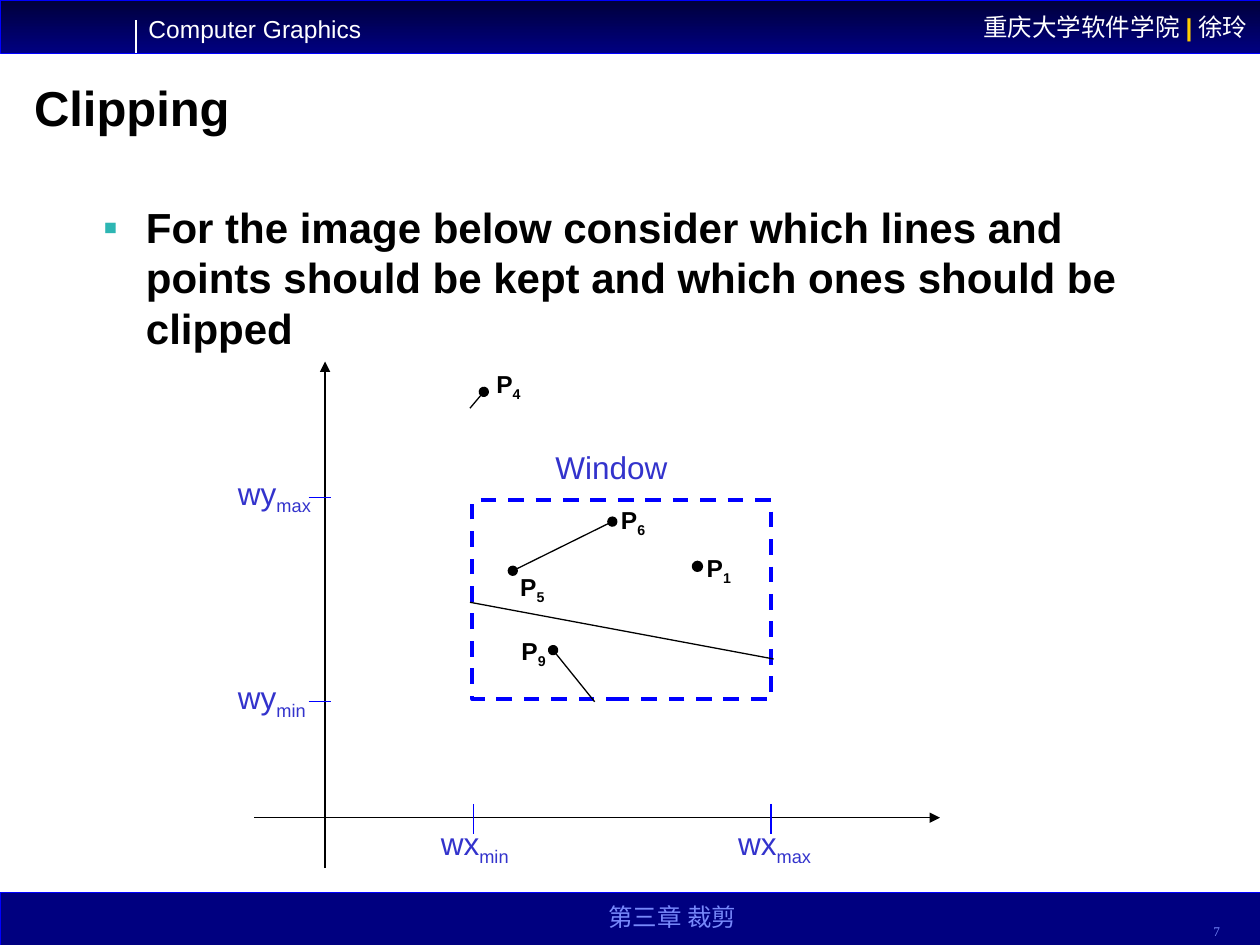
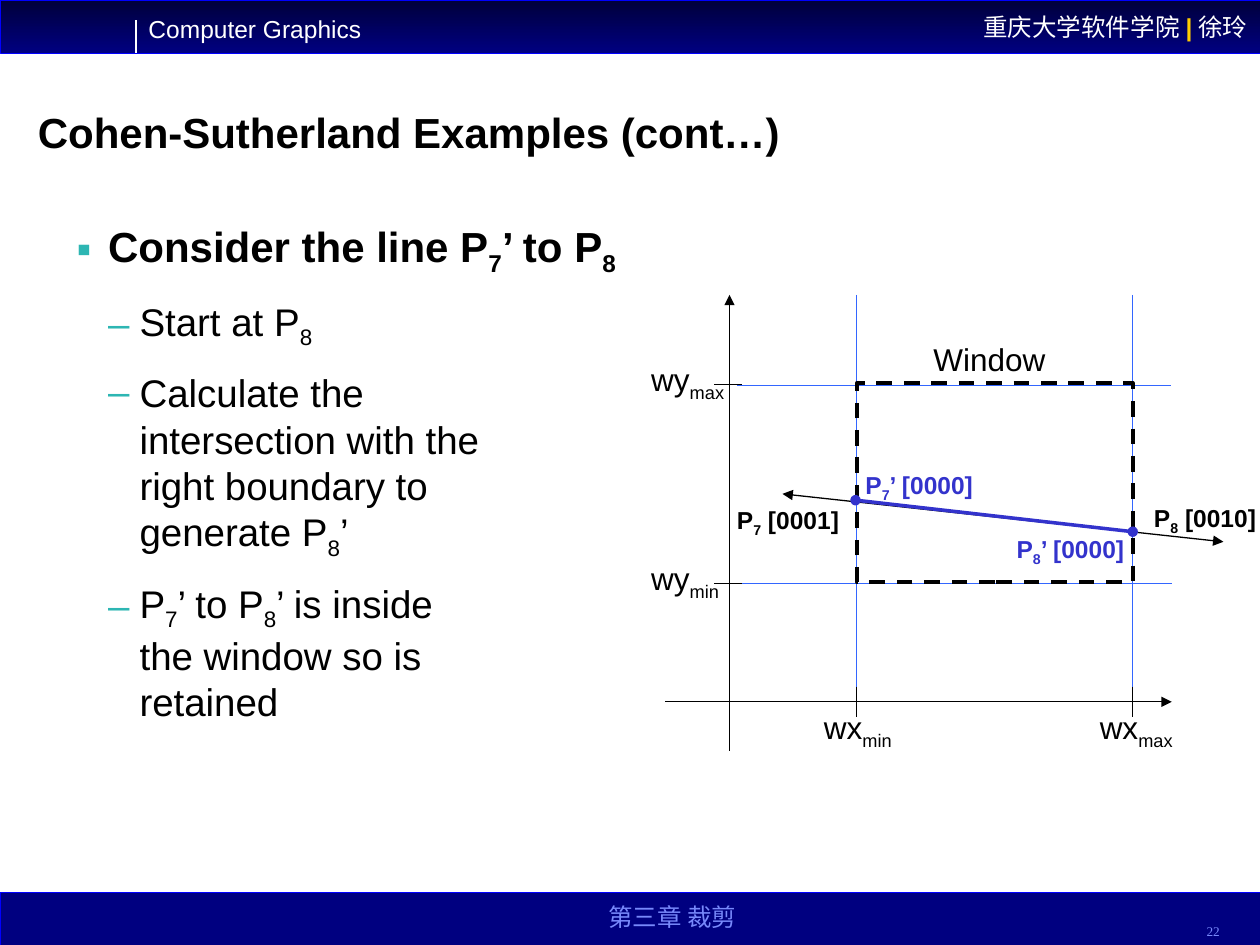
from dataclasses import dataclass

from lxml import etree
from pptx import Presentation
from pptx.dml.color import RGBColor
from pptx.enum.dml import MSO_LINE
from pptx.enum.shapes import MSO_CONNECTOR, MSO_SHAPE
from pptx.enum.text import MSO_ANCHOR as Anchor, PP_ALIGN as Align
from pptx.oxml.ns import qn
from pptx.util import Inches, Pt


@dataclass(frozen=True)
class Theme:
    black: str = "000000"
    white: str = "FFFFFF"
    navy: str = "000080"
    night: str = "00003B"
    blue: str = "0000FF"
    indigo: str = "3333CC"
    guide: str = "3366FF"
    footer: str = "7889FB"
    gold: str = "FFCC00"
    teal: str = "2DB6B3"
    sans: str = "Arial"
    serif: str = "Times New Roman"
    header_size: float = 14
    number_size: float = 7.6
    axis_size: float = 18
    point_size: float = 14
    thin: float = 0.75
    segment: float = 2
    dashed: float = 2.25


THEME = Theme()
WIDTH, HEIGHT, BAND = 10, 7.5, 0.42
AXIS_LABEL = (0.85, 0.44)
COURSE = "Computer Graphics"
SCHOOL = [("重庆大学软件学院", THEME.white), ("|", THEME.gold), ("徐玲", THEME.white)]
CHAPTER = "第三章 裁剪"

# In all texts "~" opens and closes a subscript and "\v" breaks a line.
BULLETS = [dict(mark="▪", size=24, bold=True, before=10.5, after=4.5),
           dict(mark="–", size=22, bold=False, before=6.9, after=4.1)]

# Lines: start, end, colour, width, head, tail.  Points: text, left, top, width, colour.
SLIDES = [
    dict(
        number=7,
        title=("Clipping", 28, (0.17, 0.6, 9.02, 0.54)),
        body_box=(0.59, 1.55, 8.9, 1.39),
        indents=[(0.47, -0.34)],
        body=[(0, "For the image below consider which lines and points should be kept "
                  "and which ones should be clipped")],
        diagram=dict(
            x_axis=(2.02, 7.46, 6.49), y_axis=(6.89, 2.87, 2.58),
            window=(3.75, 3.97, 2.37, 1.58), window_colour=THEME.blue,
            x_ticks=(3.76, 6.12), x_tick_span=(6.38, 6.62),
            y_ticks=(3.95, 5.57), y_tick_span=(2.45, 2.63),
            tick_colour=THEME.blue, label_colour=THEME.indigo,
            y_label_left=1.79, window_label=(4.31, 3.51),
            dots=[(5.49, 4.45, 0.09)],
            guides=[],
            lines=[
                ((4.07, 4.53), (4.86, 4.14), THEME.black, THEME.thin, "oval", "oval"),
                ((3.73, 3.24), (3.84, 3.11), THEME.black, THEME.thin, None, "oval"),
                ((4.39, 5.16), (4.72, 5.57), THEME.black, THEME.thin, "oval", None),
                ((3.73, 4.78), (6.14, 5.23), THEME.black, THEME.thin, None, None),
            ],
            points=[
                ("P~1~", 5.51, 4.34, 0.39, THEME.black),
                ("P~6~", 4.83, 3.96, 0.39, THEME.black),
                ("P~5~", 4.03, 4.49, 0.39, THEME.black),
                ("P~9~", 4.04, 5.0, 0.39, THEME.black),
                ("P~4~", 3.84, 2.88, 0.39, THEME.black),
            ],
        ),
    ),
    dict(
        number=22,
        title=("Cohen-Sutherland Examples (cont…)", 24, (0.2, 0.76, 9.02, 0.54)),
        body_box=(0.51, 1.7, 8.5, 4.27),
        indents=[(0.25, -0.25), (0.5, -0.25)],
        body=[
            (0, "Consider the line P~7~’ to P~8~"),
            (1, "Start at P~8~"),
            (1, "Calculate the\vintersection with the\vright boundary to\vgenerate P~8~’"),
            (1, "P~7~’ to P~8~’ is inside\vthe window so is\vretained"),
        ],
        diagram=dict(
            x_axis=(5.28, 9.3, 5.57), y_axis=(5.96, 2.34, 5.79),
            window=(6.8, 3.04, 2.19, 1.58), window_colour=THEME.black,
            x_ticks=(6.8, 8.99), x_tick_span=(5.45, 5.69),
            y_ticks=(3.05, 4.63), y_tick_span=(5.67, 5.89),
            tick_colour=THEME.black, label_colour=THEME.black,
            y_label_left=5.07, window_label=(7.31, 2.65),
            dots=[],
            guides=[
                ((6.8, 2.34), (6.8, 5.48)),
                ((8.99, 2.34), (8.99, 5.52)),
                ((9.29, 3.06), (5.85, 3.06)),
                ((9.3, 4.63), (5.89, 4.63)),
            ],
            lines=[
                ((6.21, 3.92), (9.71, 4.3), THEME.black, THEME.thin, "triangle", "triangle"),
                ((6.79, 3.97), (8.99, 4.22), THEME.indigo, THEME.segment, "oval", "oval"),
            ],
            points=[
                ("P~7~’ [0000]", 6.77, 3.68, 1.06, THEME.indigo),
                ("P~7~ [0001]", 5.75, 3.96, 1.01, THEME.black),
                ("P~8~ [0010]", 9.06, 3.94, 1.01, THEME.black),
                ("P~8~’ [0000]", 7.97, 4.19, 1.06, THEME.indigo),
            ],
        ),
    ),
]


def rgb(colour):
    return RGBColor.from_string(colour)


def inches(box):
    return [Inches(value) for value in box]


def style(font, size, colour, bold=False, name=THEME.sans):
    font.name, font.size, font.bold = name, Pt(size), bold
    font.color.rgb = rgb(colour)


def write(paragraph, text, size, colour, bold=False, name=THEME.sans):
    """Fill a paragraph, turning ~x~ into a subscript and \\v into a line break."""
    for index, piece in enumerate(text.split("~")):
        for row, words in enumerate(piece.split("\v")):
            if row:
                paragraph.add_line_break()
            if words:
                run = paragraph.add_run()
                run.text = words
                style(run.font, size, colour, bold, name)
                if index % 2:
                    run.font._element.set("baseline", "-25000")


def add_label(slide, text, box, size, colour, bold=False, name=THEME.sans,
              align=Align.LEFT, anchor=Anchor.TOP, wrap=False):
    frame = slide.shapes.add_textbox(*inches(box)).text_frame
    frame.word_wrap, frame.vertical_anchor = wrap, anchor
    frame.paragraphs[0].alignment = align
    write(frame.paragraphs[0], text, size, colour, bold, name)


def add_line(slide, start, end, colour, width=THEME.thin, head=None, tail=None):
    connector = slide.shapes.add_connector(MSO_CONNECTOR.STRAIGHT, *inches(start + end))
    connector.line.color.rgb = rgb(colour)
    connector.line.width = Pt(width)
    outline = connector.line._get_or_add_ln()
    for tag, kind in (("a:headEnd", head), ("a:tailEnd", tail)):
        if kind:
            etree.SubElement(outline, qn(tag), type=kind)
    etree.SubElement(connector._element.spPr, qn("a:effectLst"))


def add_preset(slide, preset, box, fill=None, line=None, width=0.25):
    shape = slide.shapes.add_shape(preset, *inches(box))
    shape.shadow.inherit = False
    if fill:
        shape.fill.solid()
        shape.fill.fore_color.rgb = rgb(fill)
    else:
        shape.fill.background()
    if line:
        shape.line.color.rgb = rgb(line)
        shape.line.width = Pt(width)
    else:
        shape.line.fill.background()
    return shape


def add_bands(slide, number):
    header, _ = [add_preset(slide, MSO_SHAPE.RECTANGLE, (0, top, WIDTH, BAND),
                            THEME.navy, THEME.blue) for top in (0, HEIGHT - BAND)]
    header.fill.gradient()
    header.fill.gradient_angle = 270
    for stop, colour in zip(header.fill.gradient_stops, (THEME.night, THEME.navy)):
        stop.color.rgb = rgb(colour)
    school = header.text_frame.paragraphs[0]
    school.alignment = Align.RIGHT
    for words, colour in SCHOOL:
        write(school, words, THEME.header_size, colour, bold=colour == THEME.gold)

    add_label(slide, COURSE, (1.08, 0.06, 1.89, 0.34), THEME.header_size, THEME.white)
    add_line(slide, (1.08, 0.16), (1.08, BAND), THEME.white)
    add_label(slide, CHAPTER, (3.75, 7.06, 3.17, 0.38), THEME.header_size, THEME.footer,
              name=THEME.serif, align=Align.CENTER, anchor=Anchor.BOTTOM, wrap=True)
    add_label(slide, str(number), (8.78, 7.12, 1, 0.38), THEME.number_size, THEME.footer,
              name=THEME.serif, align=Align.RIGHT, anchor=Anchor.BOTTOM, wrap=True)


def set_title(slide, text, size, box):
    title = slide.shapes.title
    title.left, title.top, title.width, title.height = inches(box)
    frame = title.text_frame
    frame.text = text
    frame.word_wrap, frame.vertical_anchor = True, Anchor.BOTTOM
    heading = frame.paragraphs[0]
    heading.alignment, heading.line_spacing = Align.LEFT, 0.9
    style(heading.runs[0].font, size, THEME.black, bold=True)


def add_bullet(paragraph, mark, margin, hanging):
    properties = paragraph._p.get_or_add_pPr()
    properties.set("marL", str(Inches(margin)))
    properties.set("indent", str(Inches(hanging)))
    colour = etree.SubElement(properties, qn("a:buClr"))
    etree.SubElement(colour, qn("a:srgbClr"), val=THEME.teal)
    etree.SubElement(properties, qn("a:buFont"), typeface=THEME.sans)
    etree.SubElement(properties, qn("a:buChar"), char=mark)


def add_body(slide, box, items, indents):
    frame = slide.shapes.add_textbox(*inches(box)).text_frame
    frame.word_wrap = True
    for index, (level, text) in enumerate(items):
        paragraph = frame.add_paragraph() if index else frame.paragraphs[0]
        look = BULLETS[level]
        add_bullet(paragraph, look["mark"], *indents[level])
        paragraph.level = level
        paragraph.space_before = Pt(look["before"] if index else 0)
        paragraph.space_after = Pt(look["after"])
        write(paragraph, text, look["size"], THEME.black, look["bold"])


def add_diagram(slide, diagram):
    for start, end in diagram["guides"]:
        add_line(slide, start, end, THEME.guide)

    left, right, axis_y = diagram["x_axis"]
    bottom, top, axis_x = diagram["y_axis"]
    add_line(slide, (left, axis_y), (right, axis_y), THEME.black, tail="triangle")
    add_line(slide, (axis_x, bottom), (axis_x, top), THEME.black, tail="triangle")

    window = add_preset(slide, MSO_SHAPE.RECTANGLE, diagram["window"],
                        line=diagram["window_colour"], width=THEME.dashed)
    window.line.dash_style = MSO_LINE.DASH

    label_look = THEME.axis_size, diagram["label_colour"]
    near, far = diagram["y_tick_span"]
    for y, limit in zip(diagram["y_ticks"], ("max", "min")):
        add_line(slide, (near, y), (far, y), diagram["tick_colour"])
        add_label(slide, f"wy~{limit}~", (diagram["y_label_left"], y - 0.24) + AXIS_LABEL,
                  *label_look)
    near, far = diagram["x_tick_span"]
    for x, limit in zip(diagram["x_ticks"], ("min", "max")):
        add_line(slide, (x, near), (x, far), diagram["tick_colour"])
        add_label(slide, f"wx~{limit}~", (x - 0.36, axis_y) + AXIS_LABEL, *label_look)
    add_label(slide, "Window", diagram["window_label"] + (1.09, 0.4), *label_look)

    for x, y, size in diagram["dots"]:
        add_preset(slide, MSO_SHAPE.OVAL, (x, y, size, size), THEME.black)
    for line in diagram["lines"]:
        add_line(slide, *line)
    for text, x, y, width, colour in diagram["points"]:
        add_label(slide, text, (x, y, width, 0.37), THEME.point_size, colour, bold=True)


def main():
    deck = Presentation()
    deck.slide_width, deck.slide_height = Inches(WIDTH), Inches(HEIGHT)
    title_only = deck.slide_layouts[5]
    for content in SLIDES:
        slide = deck.slides.add_slide(title_only)
        add_bands(slide, content["number"])
        set_title(slide, *content["title"])
        add_body(slide, content["body_box"], content["body"], content["indents"])
        add_diagram(slide, content["diagram"])
    deck.save("out.pptx")


if __name__ == "__main__":
    main()
